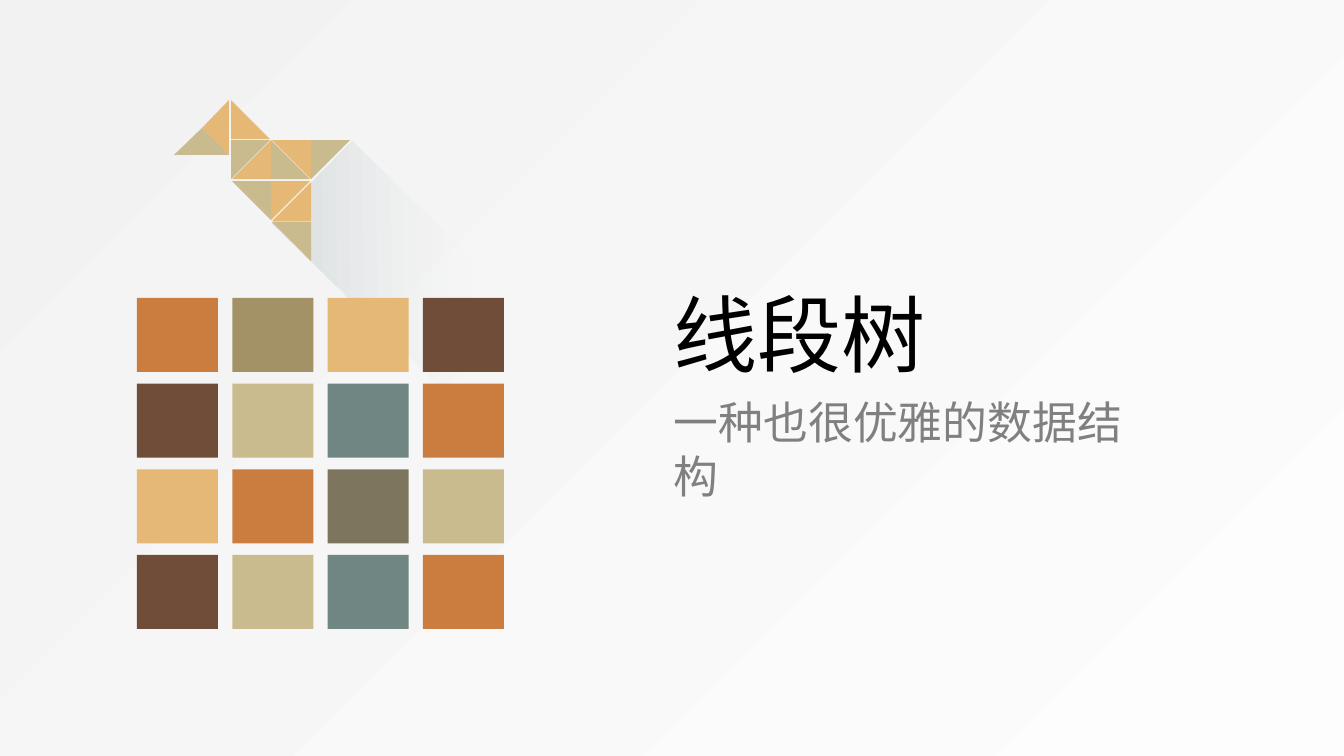
from lxml import etree
from pptx import Presentation
from pptx.dml.color import RGBColor
from pptx.enum.shapes import MSO_SHAPE
from pptx.oxml.ns import qn
from pptx.util import Pt

RECTANGLE = MSO_SHAPE.RECTANGLE
SCALE = 914400 / 100.8
FONT = "Noto Sans CJK SC"
GOLD, SAND, ORANGE, BROWN = "E6B875", "CABB8F", "CB7D40", "6F4D39"
TEAL, OLIVE, KHAKI = "6F8683", "A29266", "7D755D"

HEAD = [
    (GOLD, [(55, 0), (28, 28), (55, 55)]),
    (SAND, [(55, 55), (28, 28), (0, 55)]),
]
LEG = 39
BODY = [
    (GOLD, 57, 39, 1, -1),
    (SAND, 57, 40, 1, 1),
    (GOLD, 97, 79, -1, -1),
    (SAND, 97, 79, 1, -1),
    (GOLD, 97, 81, 1, 1),
    (SAND, 97, 81, -1, 1),
    (SAND, 137, 40, 1, 1),
    (GOLD, 137, 40, -1, 1),
    (SAND, 137, 122, -1, 1),
    (GOLD, 137, 121, -1, -1),
]
TILES = [
    [ORANGE, OLIVE, GOLD, BROWN],
    [BROWN, SAND, TEAL, ORANGE],
    [GOLD, ORANGE, KHAKI, SAND],
    [BROWN, SAND, TEAL, ORANGE],
]


def px(length):
    """Turn pixels into EMU."""
    return round(length * SCALE)


def rgb(code):
    """Turn a hex string into a colour."""
    return RGBColor.from_string(code)


def paint(shape, color):
    """Give a shape a flat fill without line or shadow."""
    shape.fill.solid()
    shape.fill.fore_color.rgb = rgb(color)
    shape.line.fill.background()
    shape.shadow.inherit = False


def blend(fill, first, last, angle):
    """Give a fill a linear gradient between two colours."""
    fill.gradient()
    fill.gradient_angle = angle
    for stop, color in zip(fill.gradient_stops, (first, last)):
        stop.color.rgb = rgb(color)


def add_shade(page, left, top, width, height):
    """Draw the long fading shade cast by the bird."""
    shade = page.shapes.add_shape(RECTANGLE, px(left), px(top), px(width), px(height))
    shade.rotation = 44.3
    blend(shade.fill, "FDFDFD", "D7DBDC", 225)
    clear_end = next(shade._element.iter(qn("a:srgbClr")))
    etree.SubElement(clear_end, qn("a:alpha"), val="6000")
    shade.line.fill.background()
    shade.shadow.inherit = False


def add_bird(page, left, top):
    """Draw the bird made of right-angled triangles."""
    bird = page.shapes.add_group_shape()
    body = [
        (color, [(x, y), (x + LEG * across, y), (x, y + LEG * down)])
        for color, x, y, across, down in BODY
    ]
    for color, corners in HEAD + body:
        points = [(px(left + x), px(top + y)) for x, y in corners]
        builder = bird.shapes.build_freeform(*points[0])
        builder.add_line_segments(points[1:], close=True)
        paint(builder.convert_to_shape(), color)


def add_tiles(page, left, top, width, height, tile_width=81, tile_height=74):
    """Spread the coloured tiles evenly over the box."""
    group = page.shapes.add_group_shape()
    step_x = (width - tile_width) / (len(TILES[0]) - 1)
    step_y = (height - tile_height) / (len(TILES) - 1)
    for row, colors in enumerate(TILES):
        for column, color in enumerate(colors):
            tile = group.shapes.add_shape(
                RECTANGLE,
                px(left + column * step_x),
                px(top + row * step_y),
                px(tile_width),
                px(tile_height),
            )
            paint(tile, color)


def add_text(page, left, top, width, height, text, size, color, wrap):
    """Place one paragraph of text."""
    box = page.shapes.add_textbox(px(left), px(top), px(width), px(height))
    box.text_frame.word_wrap = wrap
    para = box.text_frame.paragraphs[0]
    para.text = text
    para.font.size = Pt(size)
    para.font.color.rgb = rgb(color)
    para.font.name = FONT
    defaults = para._p.pPr.find(qn("a:defRPr"))
    etree.SubElement(defaults, qn("a:ea"), typeface=FONT)


def add_cover(deck):
    """Build the cover page."""
    page = deck.slides.add_slide(deck.slide_layouts[6])
    blend(page.background.fill, "F2F2F2", "FDFDFD", 315)
    add_shade(page, 278, 208, 239, 115)
    add_bird(page, 174, 100)
    add_tiles(page, 137, 298, 367, 331)
    add_text(page, 664, 278, 272, 111, "线段树", 60, "000000", False)
    add_text(page, 664, 390, 510, 64, "一种也很优雅的数据结构", 32, "808080", True)


def main():
    """Make the deck and save it."""
    deck = Presentation()
    deck.slide_width, deck.slide_height = px(1344), px(756)
    add_cover(deck)
    deck.save("out.pptx")


if __name__ == "__main__":
    main()
